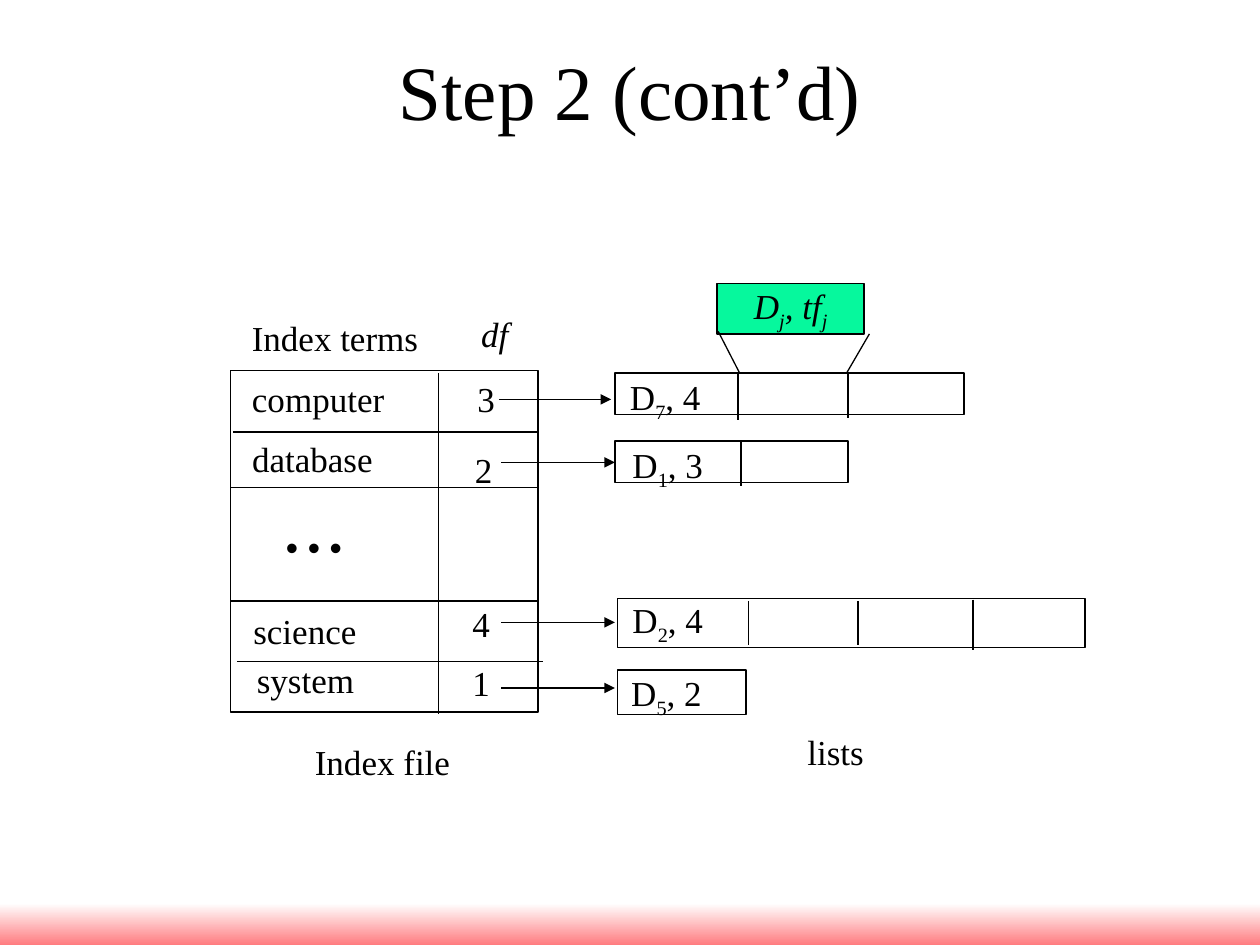
from lxml import etree
from pptx import Presentation
from pptx.dml.color import RGBColor
from pptx.enum.shapes import MSO_CONNECTOR as Connector, MSO_SHAPE as Shape
from pptx.enum.text import MSO_ANCHOR as Anchor, MSO_AUTO_SIZE as AutoSize, PP_ALIGN as Align
from pptx.oxml.ns import qn
from pptx.util import Inches, Pt


def color(hex_text):
    return RGBColor.from_string(hex_text)


def write(frame, text, size=20, font="Times New Roman", ink="000000",
          italic=False, align=Align.LEFT):
    """Write one paragraph; every second part between bars is a subscript."""
    para = frame.paragraphs[0]
    para.alignment = align
    for index, part in enumerate(text.split("|")):
        if not part:
            continue
        span = para.add_run()
        span.text = part
        span.font.size = Pt(size)
        span.font.name = font
        span.font.italic = italic
        span.font.color.rgb = color(ink)
        if index % 2:
            span._r.get_or_add_rPr().set("baseline", "-25000")


class Diagram:
    """Holds the style and the current slide."""

    ink = "000000"
    paper = "FFFFFF"
    stroke = 1

    def __init__(self, page):
        self.page = page

    def band(self, left, top, width, height, start, end):
        """Add a borderless strip that fades downwards."""
        strip = self.page.shapes.add_shape(
            Shape.RECTANGLE, *map(Inches, (left, top, width, height)))
        strip.shadow.inherit = False
        strip.line.fill.background()
        strip.fill.gradient()
        strip.fill.gradient_angle = 270
        for stop, position, shade in zip(strip.fill.gradient_stops, (0, 1), (start, end)):
            stop.position = position
            stop.color.rgb = color(shade)

    def box(self, left, top, width, height, fill=paper):
        box = self.page.shapes.add_shape(
            Shape.RECTANGLE, *map(Inches, (left, top, width, height)))
        box.shadow.inherit = False
        box.fill.solid()
        box.fill.fore_color.rgb = color(fill)
        box.line.color.rgb = color(self.ink)
        box.line.width = Pt(self.stroke)
        return box

    def line(self, x1, y1, x2, y2, width=stroke, arrow=False):
        line = self.page.shapes.add_connector(
            Connector.STRAIGHT, *map(Inches, (x1, y1, x2, y2)))
        line.line.color.rgb = color(self.ink)
        line.line.width = Pt(width)
        if arrow:
            etree.SubElement(line.line._get_or_add_ln(), qn("a:tailEnd"), type="triangle")
        etree.SubElement(line._element.spPr, qn("a:effectLst"))

    def label(self, text, left, top, width, height=0.44, wrap=False, **style):
        label = self.page.shapes.add_textbox(*map(Inches, (left, top, width, height)))
        frame = label.text_frame
        frame.word_wrap = wrap
        frame.auto_size = AutoSize.NONE if wrap else AutoSize.SHAPE_TO_FIT_TEXT
        write(frame, text, **style)


def draw_index_file(diagram):
    diagram.box(1.83, 2.94, 2.44, 2.71)
    diagram.line(3.48, 2.96, 3.48, 5.67)
    for left, y in ((1.85, 3.43), (1.83, 3.87), (1.83, 4.77), (1.88, 5.25)):
        diagram.line(left, y, left + 2.43, y)
    terms = (("computer", 1.9, 2.95, 1.25), ("database", 1.9, 3.42, 1.16),
             ("science", 1.91, 4.79, 1.02), ("system", 1.94, 5.18, 0.97))
    for term, left, top, width in terms:
        diagram.label(term, left, top, width, align=Align.CENTER)
    counts = (("3", 3.69, 2.95), ("2", 3.67, 3.51), ("4", 3.65, 4.73), ("1", 3.65, 5.2))
    for count, left, top in counts:
        diagram.label(count, left, top, 0.34)
    diagram.label("• • •", 2.17, 4.12, 0.68, font="Arial")
    diagram.label("Index terms", 1.9, 2.46, 1.54)
    diagram.label("df", 3.72, 2.43, 0.45, italic=True)
    diagram.label("Index file", 2.4, 5.83, 1.32)


def draw_lists(diagram):
    # Box, dividers (x, top, bottom), then the posting and its place
    lists = (
        ((4.88, 2.96, 2.77, 0.33), ((5.86, 2.97, 3.33), (6.73, 2.97, 3.32)),
         "D|7|, 4", 4.9, 2.93),
        ((4.88, 3.5, 1.85, 0.33), ((5.88, 3.51, 3.86),), "D|1|, 3", 4.92, 3.47),
        ((4.9, 4.75, 3.71, 0.39),
         ((5.94, 4.77, 5.12), (6.81, 4.77, 5.12), (7.72, 4.76, 5.16)),
         "D|2|, 4", 4.92, 4.7),
        ((4.9, 5.32, 1.02, 0.35), (), "D|5|, 2", 4.91, 5.28),
    )
    for place, dividers, posting, left, top in lists:
        diagram.box(*place)
        for x, start, end in dividers:
            diagram.line(x, start, x, end)
        diagram.label(posting, left, top, 0.76, 0.48, align=Align.CENTER)
    diagram.label("lists", 6.31, 5.75, 0.67)
    for start, end, y in ((3.96, 4.85, 3.17), (3.98, 4.88, 3.67),
                          (3.98, 4.88, 4.94), (3.98, 4.88, 5.46)):
        diagram.line(start, y, end, y, arrow=True)


def draw_posting_key(diagram):
    key = diagram.box(5.69, 2.25, 1.17, 0.4, fill="06F89D")
    key.text_frame.word_wrap = False
    key.text_frame.vertical_anchor = Anchor.MIDDLE
    write(key.text_frame, "D|j|, tf|j", italic=True, align=Align.CENTER)
    diagram.line(5.7, 2.63, 5.87, 2.96, width=0.75)
    diagram.line(6.9, 2.65, 6.72, 2.96, width=0.75)


def main():
    deck = Presentation()
    deck.slide_width, deck.slide_height = Inches(10), Inches(7.5)
    diagram = Diagram(deck.slides.add_slide(deck.slide_layouts[6]))
    diagram.band(0, 7.17, 10, 0.33, "FFFFFF", "FF7C80")
    diagram.label("Step 2 (cont’d)", 0.5, 0.3, 9, 0.62, wrap=True, size=44, align=Align.CENTER)
    draw_index_file(diagram)
    draw_lists(diagram)
    draw_posting_key(diagram)
    deck.save("out.pptx")


if __name__ == "__main__":
    main()
